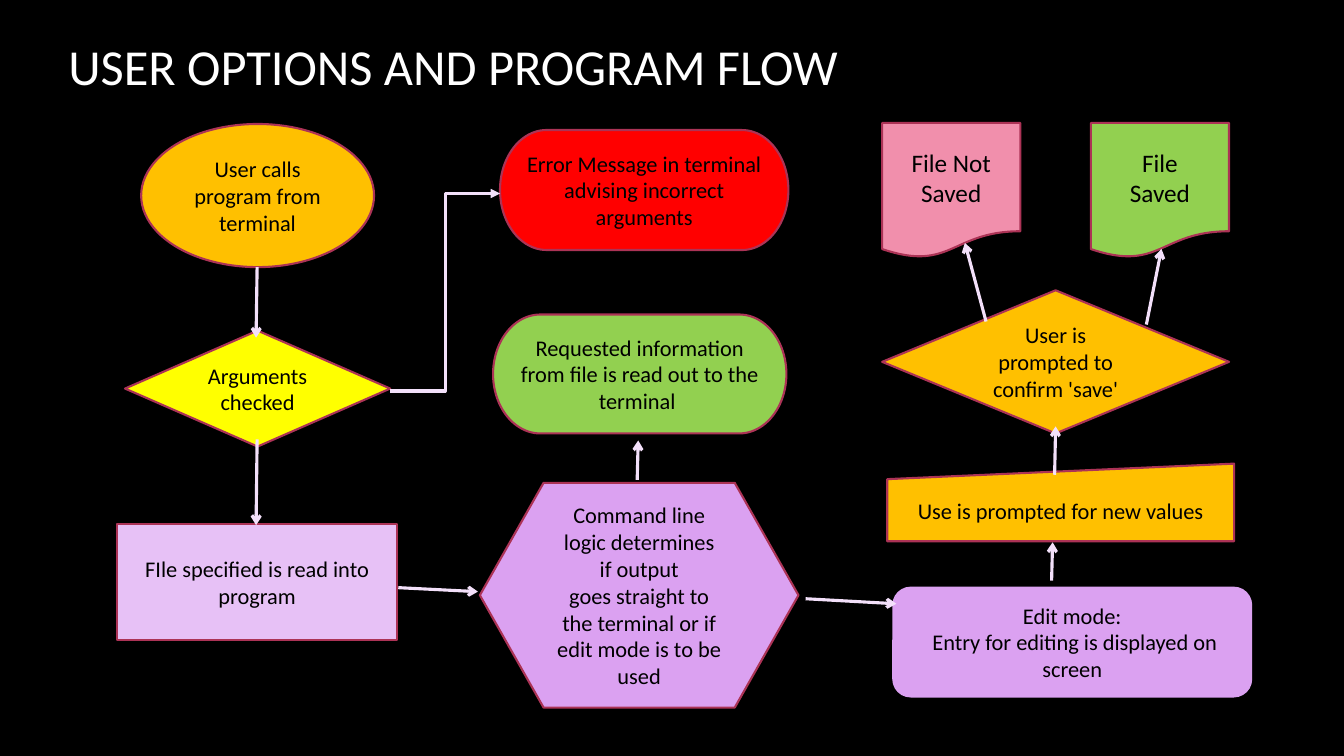
import pptx
import pptx.dml.color
import pptx.enum.shapes
import pptx.enum.text
import pptx.oxml.ns
import pptx.util
from lxml import etree

Inches = pptx.util.Inches
Pt = pptx.util.Pt
RGBColor = pptx.dml.color.RGBColor
SHAPE = pptx.enum.shapes.MSO_SHAPE
CONNECTOR = pptx.enum.shapes.MSO_CONNECTOR
ALIGN = pptx.enum.text.PP_ALIGN
qn = pptx.oxml.ns.qn

BLACK = RGBColor(0x00, 0x00, 0x00)
WHITE = RGBColor(0xFF, 0xFF, 0xFF)
AMBER = RGBColor(0xFF, 0xC0, 0x00)
YELLOW = RGBColor(0xFF, 0xFF, 0x00)
GREEN = RGBColor(0x92, 0xD0, 0x50)
RED = RGBColor(0xFF, 0x00, 0x00)
PINK = RGBColor(0xF1, 0x8F, 0xAC)
LILAC = RGBColor(0xE7, 0xC1, 0xF6)
PURPLE = RGBColor(0xDB, 0xA1, 0xF1)
CRIMSON = RGBColor(0xAC, 0x33, 0x56)
PALE = RGBColor(0xF3, 0xE0, 0xFA)


class Flowchart:
    """Draws styled flowchart elements on one slide."""

    font = "Calibri"

    def __init__(self, s):
        self.s = s
        s.background.fill.solid()
        s.background.fill.fore_color.rgb = BLACK

    def label(self, sp, text, size, color, align):
        tf = sp.text_frame
        tf.word_wrap = True
        tf.vertical_anchor = pptx.enum.text.MSO_ANCHOR.MIDDLE
        for i, line in enumerate(text.split("\n")):
            p = tf.add_paragraph() if i else tf.paragraphs[0]
            p.alignment = align
            r = p.add_run()
            r.text = line
            r.font.name = self.font
            r.font.size = Pt(size)
            r.font.color.rgb = color

    def title(self, text, box):
        sp = self.s.shapes.add_textbox(*map(Inches, box))
        self.label(sp, text, 36, WHITE, ALIGN.LEFT)

    def step(self, kind, box, fill, text, size=16, line=CRIMSON):
        sp = self.s.shapes.add_shape(kind, *map(Inches, box))
        sp.shadow.inherit = False
        sp.fill.solid()
        sp.fill.fore_color.rgb = fill
        if line is None:
            sp.line.fill.background()
        else:
            sp.line.color.rgb = line
            sp.line.width = Pt(1.5)
        self.label(sp, text, size, BLACK, ALIGN.CENTER)

    def arrow(self, start, end, kind=CONNECTOR.STRAIGHT, head="arrow"):
        sp = self.s.shapes.add_connector(kind, *map(Inches, start + end))
        sp.line.color.rgb = PALE
        sp.line.width = Pt(2.25)
        spPr = sp._element.spPr
        etree.SubElement(spPr.find(qn("a:ln")), qn("a:tailEnd"), type=head)
        etree.SubElement(spPr, qn("a:effectLst"))


prs = pptx.Presentation()
prs.slide_width = Inches(13.33)
prs.slide_height = Inches(7.5)
chart = Flowchart(prs.slides.add_slide(prs.slide_layouts[6]))

chart.title("USER OPTIONS AND PROGRAM FLOW", (0.58, 0.27, 11.08, 0.76))

chart.step(SHAPE.FLOWCHART_ALTERNATE_PROCESS, (8.85, 5.82, 3.57, 1.1), PURPLE,
           "Edit mode:\n\u00a0Entry for editing is displayed on screen", line=None)

STEPS = [
    (SHAPE.FLOWCHART_CONNECTOR, (1.4, 1.23, 2.31, 1.42), AMBER,
     "User calls program from terminal"),
    (SHAPE.FLOWCHART_PROCESS, (1.16, 5.2, 2.78, 1.15), LILAC,
     "FIle specified is read into program"),
    (SHAPE.FLOWCHART_DECISION, (1.24, 3.28, 2.63, 1.15), YELLOW,
     "Arguments\nchecked"),
    (SHAPE.FLOWCHART_TERMINATOR, (4.89, 3.12, 2.91, 1.18), GREEN,
     "Requested information from file\u00a0is read out to\u00a0the terminal "),
    (SHAPE.FLOWCHART_PREPARATION, (4.76, 4.79, 3.16, 2.23), PURPLE,
     "Command line logic\u00a0determines if\u00a0output goes\u00a0straight\u00a0to "
     "the\u00a0terminal or if edit\u00a0mode is to be used"),
    (SHAPE.FLOWCHART_TERMINATOR, (4.96, 1.29, 2.86, 1.19), RED,
     "Error Message in terminal advising incorrect arguments"),
    (SHAPE.FLOWCHART_MANUAL_INPUT, (8.8, 4.6, 3.44, 0.77), AMBER,
     "Use is prompted for new values"),
    (SHAPE.FLOWCHART_DECISION, (8.75, 2.88, 3.44, 1.42), AMBER,
     "User is prompted to confirm 'save'"),
]
for kind, box, fill, text in STEPS:
    chart.step(kind, box, fill, text)

for left, fill, text in [(10.82, GREEN, "File\nSaved"), (8.75, PINK, "File Not\nSaved")]:
    chart.step(SHAPE.FLOWCHART_DOCUMENT, (left, 1.22, 1.37, 1.34), fill, text, size=18)

ARROWS = [
    ((2.55, 4.36), (2.54, 5.21)),
    ((2.55, 2.65), (2.54, 3.35)),
    ((3.95, 5.83), (4.74, 5.87)),
    ((7.99, 5.94), (8.89, 5.99)),
    ((10.43, 5.76), (10.44, 5.38)),
    ((10.46, 4.71), (10.47, 4.23)),
    ((6.32, 4.76), (6.33, 4.37)),
    ((9.78, 3.19), (9.57, 2.41)),
    ((11.37, 3.22), (11.52, 2.47)),
]
for start, end in ARROWS:
    chart.arrow(start, end)
chart.arrow((3.87, 3.88), (4.96, 1.92), CONNECTOR.ELBOW, "triangle")

prs.save("out.pptx")
